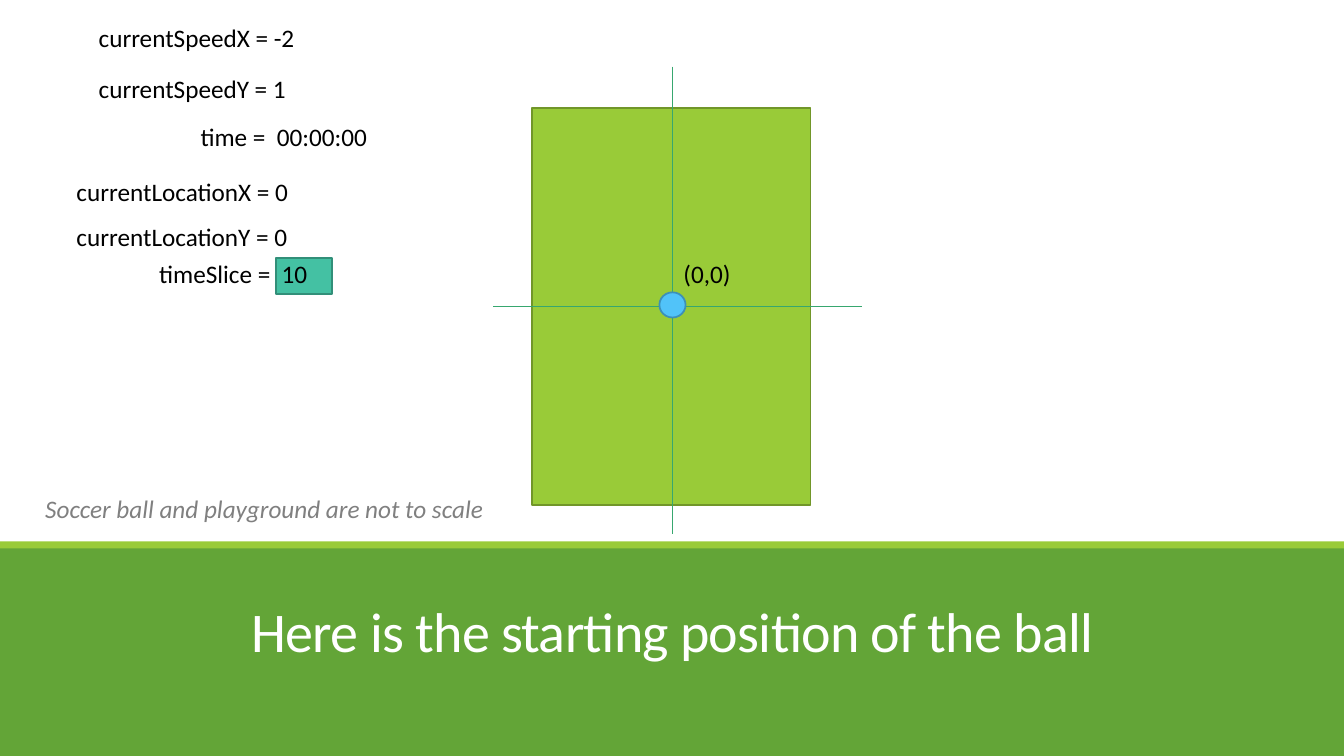
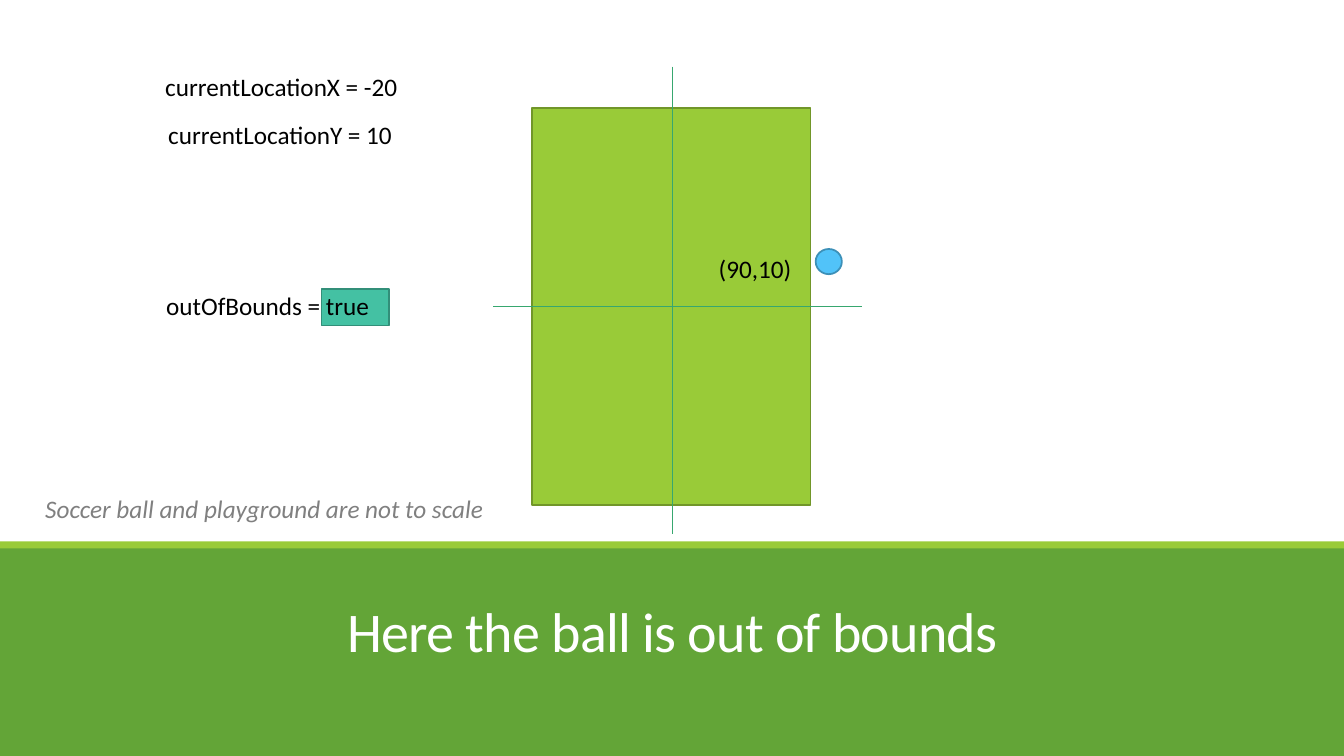
from lxml import etree
from pptx import Presentation
from pptx.dml.color import RGBColor
from pptx.enum import shapes, text
from pptx.oxml import ns
from pptx.util import Inches, Pt

WIDTH, HEIGHT = 13.33, 7.5
FONT = "Calibri"
COLORS = {
    "band": "63A537", "field": "99CB38", "field_edge": "719629",
    "axis": "37A76F", "ball": "51C3F9", "ball_edge": "3C90B8",
    "value": "44C1A3", "value_edge": "328F79",
    "text": "000000", "note": "808080", "title": "FFFFFF",
}
RECT, OVAL = shapes.MSO_SHAPE.RECTANGLE, shapes.MSO_SHAPE.OVAL
BALL_SIZE = (0.26, 0.25)


def rgb(name):
    return RGBColor.from_string(COLORS[name])


class PitchDeck:
    def __init__(self):
        self.prs = Presentation()
        self.prs.slide_width, self.prs.slide_height = Inches(WIDTH), Inches(HEIGHT)
        self.slide = None

    def new_slide(self, title):
        """Start a slide with its title band, pitch, axes and scale note."""
        self.slide = self.prs.slides.add_slide(self.prs.slide_layouts[5])
        self.shape(RECT, (0, 5.42, WIDTH, 2.08), "band")
        self.title(title)
        self.shape(RECT, (0, 5.37, WIDTH, 0.07), "field")
        self.shape(RECT, (5.28, 1.07, 2.76, 3.94), "field", "field_edge")
        self.axis((6.67, 0.66), (6.67, 5.3))
        self.axis((4.89, 3.04), (8.55, 3.04))
        self.label("Soccer ball and playground are not to scale",
                   0.35, 4.84, 6.95, color="note", italic=True)

    def style(self, paragraph, size, color):
        paragraph.font.name, paragraph.font.size = FONT, Pt(size)
        paragraph.font.color.rgb = rgb(color)

    def title(self, wording):
        title = self.slide.shapes.title
        title.left, title.top = Inches(1.17), Inches(5.74)
        title.width, title.height = Inches(11), Inches(1.13)
        frame = title.text_frame
        frame.text = wording
        frame.auto_size = text.MSO_AUTO_SIZE.NONE
        frame.vertical_anchor = text.MSO_ANCHOR.MIDDLE
        paragraph = frame.paragraphs[0]
        paragraph.alignment = text.PP_ALIGN.CENTER
        paragraph.line_spacing = 0.85
        self.style(paragraph, 40, "title")
        paragraph.runs[0].font._element.set("spc", "-50")
        # The placeholder must lie in front of the band.
        self.slide.shapes._spTree.append(title._element)

    def shape(self, kind, box, fill, edge=None):
        shape = self.slide.shapes.add_shape(kind, *map(Inches, box))
        shape.shadow.inherit = False
        shape.fill.solid()
        shape.fill.fore_color.rgb = rgb(fill)
        if edge:
            shape.line.color.rgb = rgb(edge)
            shape.line.width = Pt(1.25)
        else:
            shape.line.fill.background()

    def axis(self, start, end):
        line = self.slide.shapes.add_connector(
            shapes.MSO_CONNECTOR.STRAIGHT, *map(Inches, start + end))
        line.line.color.rgb = rgb("axis")
        line.line.width = Pt(1)
        etree.SubElement(line._element.spPr, ns.qn("a:effectLst"))

    def label(self, wording, left, top, width=3.89, color="text", italic=False):
        box = self.slide.shapes.add_textbox(*map(Inches, (left, top, width, 0.4)))
        frame = box.text_frame
        frame.word_wrap = True
        frame.auto_size = text.MSO_AUTO_SIZE.SHAPE_TO_FIT_TEXT
        frame.text = wording
        paragraph = frame.paragraphs[0]
        self.style(paragraph, 18, color)
        if italic:
            paragraph.font.italic = True

    def ball(self, left, top):
        self.shape(OVAL, (left, top, *BALL_SIZE), "ball", "ball_edge")

    def highlight(self, left, top, width):
        """Colour the ground behind a value; call before its label."""
        self.shape(RECT, (left, top, width, 0.36), "value", "value_edge")


def main():
    deck = PitchDeck()

    deck.new_slide("Here is the starting position of the ball")
    deck.ball(6.54, 2.9)
    deck.label("(0,0)", 6.68, 2.51, 1.41)
    deck.highlight(2.74, 2.56, 0.55)
    for wording, left, top in (
        ("currentSpeedX = -2", 0.88, 0.17),
        ("currentSpeedY = 1", 0.88, 0.68),
        ("time =  00:00:00", 1.89, 1.15),
        ("currentLocationX = 0", 0.66, 1.7),
        ("currentLocationY = 0", 0.66, 2.15),
        ("timeSlice =  10", 1.48, 2.51),
    ):
        deck.label(wording, left, top)

    deck.new_slide("Here the ball is out of bounds")
    deck.ball(8.09, 2.47)
    deck.label("(90,10)", 7.03, 2.46, 1.41)
    deck.highlight(3.19, 2.87, 0.67)
    for wording, left, top in (
        ("currentLocationX = -20", 1.54, 0.66),
        ("currentLocationY = 10", 1.57, 1.13),
        ("outOfBounds = true", 1.55, 2.83),
    ):
        deck.label(wording, left, top)

    deck.prs.save("out.pptx")


if __name__ == "__main__":
    main()
